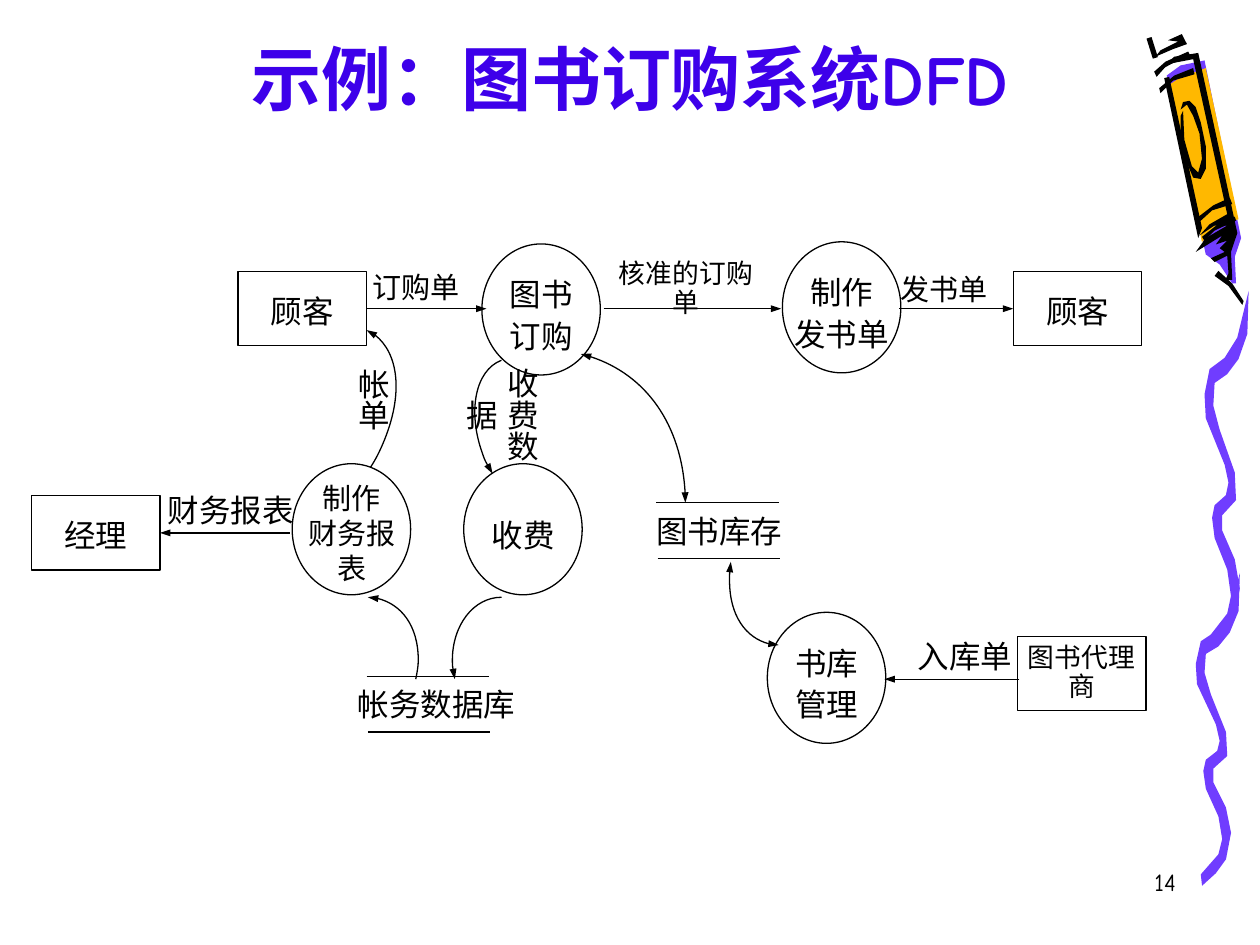
from dataclasses import dataclass

from pptx import Presentation
from pptx.dml.color import RGBColor
from pptx.enum.shapes import MSO_CONNECTOR as Connector, MSO_SHAPE as Preset
from pptx.enum.text import MSO_ANCHOR as Anchor, PP_ALIGN as Align
from pptx.oxml.ns import qn
from pptx.util import Pt
from lxml.etree import SubElement


@dataclass(frozen=True)
class Theme:
    black: RGBColor = RGBColor(0, 0, 0)
    white: RGBColor = RGBColor(255, 255, 255)
    title: RGBColor = RGBColor(0x3D, 0x00, 0xEA)
    violet: RGBColor = RGBColor(0x70, 0x3D, 0xFF)
    orange: RGBColor = RGBColor(0xFF, 0xB8, 0x00)
    body_font: str = "Times New Roman"
    display_font: str = "Comic Neue"
    title_size: float = 40
    number_size: float = 14
    large: tuple = (18, 1.1)  # type size, line spacing
    medium: tuple = (16.6, 1.0)
    small: tuple = (15.3, 0.9)
    thin: float = 0.75
    thick: float = 3


THEME = Theme()
GRID = Pt(0.72)  # freeform outlines are drawn on a grid of 0.72 points
BOX_SIZE = (73.5, 42.5)
CIRCLE_SIZE = (67.7, 74.9)
TOP_FLOW = 176.4
FINANCE_FLOW = 304.5
STOCK_FLOW = 388.1

WAVE = [(960, 505), (974, 487), (977, 473), (974, 452), (964, 427), (962, 411), (964, 401),
        (973, 393), (975, 383), (972, 369), (957, 332), (956, 313), (960, 293), (972, 284),
        (982, 268), (991, 231), (990, 265), (983, 285), (974, 297), (964, 304), (963, 322),
        (968, 341), (980, 375), (981, 397), (970, 409), (970, 421), (980, 444), (984, 467),
        (980, 491), (972, 504), (961, 515)]

PENCIL = [
    (THEME.white, [(950, 44), (930, 47), (919, 57), (949, 197), (962, 207), (972, 220),
                   (976, 219), (975, 198), (979, 185)]),
    (THEME.violet, [(926, 60), (957, 202), (968, 210), (978, 225), (981, 225), (980, 204),
                    (985, 189), (956, 48), (937, 52)]),
    (THEME.orange, [(954, 192), (968, 179), (983, 174), (957, 54), (936, 62), (927, 68)]),
    (THEME.black, [(964, 219), (975, 227), (986, 242), (987, 239), (978, 225), (967, 215)]),
    (THEME.black, [(917, 45), (931, 39), (942, 35), (938, 27), (927, 32), (935, 33), (921, 40)]),
    (THEME.black, [(937, 92), (937, 106), (941, 127), (947, 141), (953, 142), (957, 134),
                   (957, 116), (953, 97), (949, 85), (944, 80), (939, 81), (937, 87),
                   (942, 83), (947, 92), (952, 106), (954, 126), (951, 137), (946, 132),
                   (940, 111), (939, 88)]),
    (THEME.black, [(924, 62), (951, 189), (954, 181), (928, 61)]),
    (THEME.black, [(949, 200), (957, 189), (974, 179), (964, 179), (952, 187), (960, 178),
                   (974, 170), (947, 47), (931, 50), (920, 56), (932, 45), (951, 42),
                   (982, 185), (977, 200), (978, 222), (972, 223), (975, 217), (974, 203),
                   (964, 208), (961, 205), (972, 200), (968, 197), (974, 191), (965, 194),
                   (970, 187)]),
    (THEME.black, [(956, 191), (964, 183), (981, 175), (980, 172), (969, 176), (954, 188)]),
    (THEME.black, [(951, 177), (962, 167), (978, 162), (976, 157), (963, 163), (950, 173)]),
    (THEME.black, [(921, 74), (931, 64), (948, 59), (947, 54), (932, 60), (920, 70)]),
    (THEME.black, [(918, 61), (926, 52), (945, 45), (943, 41), (925, 49), (916, 57)]),
]

# Each curve: start, then three points per Bezier segment; arrow at start, at end
CURVES = [
    ([(580, 446), (579, 451), (579, 456), (579, 461),
      (579, 489), (596, 512), (618, 512)], True, True),
    ([(330, 539), (331, 534), (332, 529), (332, 524),
      (332, 496), (314, 474), (292, 474)], False, True),
    ([(361, 539), (360, 534), (359, 529), (359, 524),
      (359, 496), (376, 474), (398, 474)], True, False),
    ([(461, 281), (509, 292), (544, 341), (544, 399)], True, True),
    ([(391, 376), (388, 371), (385, 366), (383, 360),
      (371, 327), (377, 294), (398, 286)], True, False),
    ([(294, 371), (298, 365), (301, 359), (304, 352),
      (321, 312), (315, 272), (291, 262)], False, True),
]


def points(*values):
    return [Pt(value) for value in values]


def write(frame, lines, size, font, color=THEME.black, align=Align.CENTER,
          spacing=None, bold=False):
    frame.word_wrap = True
    for index, line in enumerate(lines):
        para = frame.paragraphs[0] if index == 0 else frame.add_paragraph()
        para.alignment = align
        if spacing:
            para.line_spacing = spacing
        span = para.add_run()
        span.text = line
        span.font.size, span.font.name, span.font.bold = Pt(size), font, bold
        span.font.color.rgb = color


def add_text(page, area, lines, size, font, anchor=Anchor.MIDDLE, **style):
    box = page.shapes.add_textbox(*points(*area))
    box.text_frame.vertical_anchor = anchor
    write(box.text_frame, lines, size, font, **style)
    return box


def add_label(page, area, *lines, style=THEME.large, vertical=False):
    size, spacing = style
    box = add_text(page, area, lines, size, THEME.body_font, spacing=spacing)
    if vertical:
        frame = box.text_frame
        frame.margin_left = frame.margin_right = Pt(3.6)
        frame.margin_top = frame.margin_bottom = Pt(7.2)
        box.element.txBody.find(qn("a:bodyPr")).set("vert", "eaVert")


def add_outline(page, preset, left, top, size):
    shape = page.shapes.add_shape(preset, *points(left, top, *size))
    shape.shadow.inherit = False
    shape.fill.background()
    shape.line.color.rgb, shape.line.width = THEME.black, Pt(THEME.thin)
    return shape


def add_entity(page, left, middle, name, style=THEME.large):
    shape = add_outline(page, Preset.RECTANGLE, left, middle - BOX_SIZE[1] / 2, BOX_SIZE)
    frame = shape.text_frame
    frame.margin_left = frame.margin_right = 0
    frame.vertical_anchor = Anchor.MIDDLE
    size, spacing = style
    write(frame, [name], size, THEME.body_font, spacing=spacing)
    return shape


def add_process(page, left, top, *lines, style=THEME.large):
    add_outline(page, Preset.OVAL, left, top, CIRCLE_SIZE)
    add_label(page, (left - 5, top + 5, 77.8, 69.1), *lines, style=style)


def add_arrowheads(shape, start, end):
    line = shape.element.spPr.find(qn("a:ln"))
    for tag, wanted in (("a:headEnd", start), ("a:tailEnd", end)):
        if wanted:
            head = SubElement(line, qn(tag))
            head.set("type", "triangle")
            head.set("w", "sm")
            head.set("len", "med")


def add_line(page, start, end, width=THEME.thin, arrow=False):
    line = page.shapes.add_connector(Connector.STRAIGHT, *points(*start, *end))
    line.line.color.rgb, line.line.width = THEME.black, Pt(width)
    add_arrowheads(line, False, arrow)
    SubElement(line.element.spPr, qn("a:effectLst"))
    return line


def add_flow(page, start, end, height):
    return add_line(page, (start, height), (end, height), arrow=True)


def add_store(page, left, top, name, label_left, label_width):
    for shift, drop in ((0, 0), (0.7, 31.7)):
        add_line(page, (left + shift, top + drop), (left + shift + 69.8, top + drop))
    add_label(page, (label_left, top - 5, label_width, 39.6), name)


def add_polygon(page, outline, color):
    builder = page.shapes.build_freeform(*outline[0], scale=GRID)
    builder.add_line_segments(outline[1:], close=True)
    shape = builder.convert_to_shape()
    shape.shadow.inherit = False
    shape.fill.solid()
    shape.fill.fore_color.rgb = color
    shape.line.fill.background()


def add_curve(page, track, start, end):
    """Draw a Bezier track by merging every three line steps into one cubic step."""
    builder = page.shapes.build_freeform(*track[0], scale=GRID)
    builder.add_line_segments(track[1:], close=False)
    shape = builder.convert_to_shape()
    shape.shadow.inherit = False
    shape.fill.background()
    shape.line.color.rgb, shape.line.width = THEME.black, Pt(THEME.thin)
    outline = next(shape.element.iter(qn("a:path")))
    steps = outline.findall(qn("a:lnTo"))
    for index in range(0, len(steps), 3):
        cubic = SubElement(outline, qn("a:cubicBezTo"))
        for step in steps[index:index + 3]:
            cubic.append(step[0])
            outline.remove(step)
    add_arrowheads(shape, start, end)


def add_crayon(page):
    lower_wave = [(x - 7, round(455 + (y - 231) * 0.873)) for x, y in WAVE]
    for wave in (lower_wave, WAVE):
        add_polygon(page, wave, THEME.violet)
    for color, outline in PENCIL:
        add_polygon(page, outline, color)
    add_line(page, (656.6, 21.6), (660.2, 33.1), THEME.thick)


def add_diagram(page):
    customer = add_entity(page, 136, TOP_FLOW, "顾客")
    receiver = add_entity(page, 579, TOP_FLOW, "顾客")
    manager = add_entity(page, 18, FINANCE_FLOW, "经理")
    add_entity(page, 581.3, 384.9, "图书代理商", THEME.small)

    add_process(page, 275.4, 139.4, "图书", "订购")
    add_process(page, 447.1, 138.2, "制作", "发书单")
    add_process(page, 167, 265, "制作", "财务报表", style=THEME.medium)
    add_process(page, 265, 265, "收费")
    add_process(page, 438.5, 349.9, "书库", "管理")
    add_store(page, 375.1, 287.3, "图书库存", 362.2, 97.9)
    add_store(page, 209.5, 386.6, "帐务数据库", 185.8, 127.4)

    add_flow(page, 209.5, 278, TOP_FLOW).begin_connect(customer, 3)
    add_flow(page, 344.9, 446.4, TOP_FLOW)
    add_flow(page, 514, 579, TOP_FLOW).end_connect(receiver, 1)
    add_flow(page, 165.6, 91.5, FINANCE_FLOW).end_connect(manager, 3)
    add_flow(page, 582.5, 505.4, STOCK_FLOW)
    for track, start, end in CURVES:
        add_curve(page, track, start, end)

    add_label(page, (205.2, 143.3, 65.5, 41), "订购单", style=THEME.medium)
    add_label(page, (343.4, 144.7, 97.2, 41), "核准的订购单", style=THEME.small)
    add_label(page, (506.9, 144.7, 65.5, 41), "发书单", style=THEME.medium)
    add_label(page, (83.5, 270, 96.5, 41), "财务报表")
    add_label(page, (513.4, 353.5, 76.3, 41), "入库单")
    add_label(page, (269.3, 203, 36.7, 83.5), "收费数据", vertical=True)
    add_label(page, (195.1, 203.5, 38.2, 54), "帐单", vertical=True)


def main():
    deck = Presentation()
    deck.slide_width, deck.slide_height = points(720, 540)
    page = deck.slides.add_slide(deck.slide_layouts[6])
    add_crayon(page)
    add_text(page, (529.2, 491.8, 149.8, 36), ["14"], THEME.number_size,
             THEME.display_font, anchor=Anchor.TOP, align=Align.RIGHT)
    add_text(page, (36, 12.2, 648, 59.8), ["示例：图书订购系统DFD"], THEME.title_size,
             THEME.display_font, anchor=Anchor.BOTTOM, color=THEME.title, bold=True)
    add_diagram(page)
    deck.save("out.pptx")


if __name__ == "__main__":
    main()
